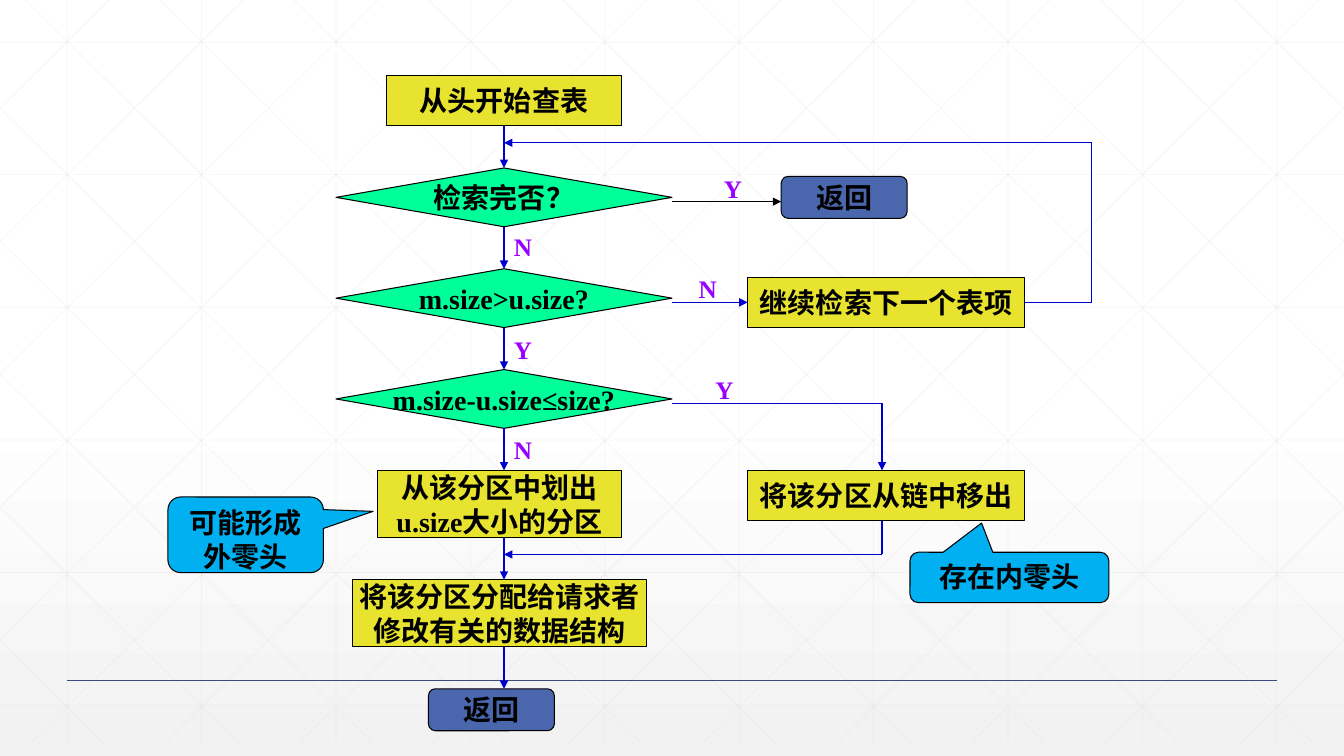
import pptx
import pptx.util
import pptx.dml.color
import pptx.enum.shapes
import pptx.enum.text
import pptx.oxml
import pptx.oxml.ns
from dataclasses import dataclass

Pt = pptx.util.Pt
RGB = pptx.dml.color.RGBColor.from_string
SHAPE = pptx.enum.shapes.MSO_SHAPE
ALIGN = pptx.enum.text.PP_ALIGN
ANCHOR = pptx.enum.text.MSO_ANCHOR


@dataclass(frozen=True)
class Theme:
    """Colours, fonts and sizes of the slide."""
    process: str = "E7E32F"
    decision: str = "00FF99"
    end: str = "4A66AC"
    callout: str = "00B0F0"
    ink: str = "000000"
    flow: str = "0000CC"
    label: str = "9900FF"
    grid: str = "D9D9D9"
    rule: str = "384C81"
    back_top: str = "FFFFFF"
    back_bottom: str = "F2F2F2"
    font: str = "Times New Roman"
    callout_font: str = "Arial"
    text_size: int = 20
    label_size: int = 18
    line: float = 0.75
    grid_line: float = 0.5
    rule_line: float = 1


T = Theme()


def add_xml(parent, tag, **attrs):
    """Append a DrawingML element with the given attributes."""
    el = pptx.oxml.parse_xml(f"<a:{tag} {pptx.oxml.ns.nsdecls('a')}/>")
    for name, value in attrs.items():
        el.set(name, value)
    parent.append(el)


def add_line(s, start, end, color, width, arrow=False, opacity=None):
    """Draw a straight line, with an arrowhead or transparency if asked."""
    ends = [Pt(v) for v in (*start, *end)]
    c = s.shapes.add_connector(pptx.enum.shapes.MSO_CONNECTOR.STRAIGHT, *ends)
    c.line.color.rgb = RGB(color)
    c.line.width = Pt(width)
    ln = c.line._get_or_add_ln()
    if opacity:
        add_xml(ln.find(".//" + pptx.oxml.ns.qn("a:srgbClr")), "alpha", val=str(opacity * 1000))
    if arrow:
        add_xml(ln, "tailEnd", type="triangle")
    add_xml(c._element.spPr, "effectLst")


def write(tf, text, size, color, font, align):
    """Fill a text frame with bold text in one style."""
    tf.text = text
    for p in tf.paragraphs:
        p.alignment = align
        for r in p.runs:
            r.font.name = font
            r.font.size = Pt(size)
            r.font.bold = True
            r.font.color.rgb = RGB(color)


def add_node(s, kind, box, fill, text, font=T.font):
    """Draw a filled, outlined shape with centred text."""
    sp = s.shapes.add_shape(kind, *[Pt(v) for v in box])
    sp.shadow.inherit = False
    sp.fill.solid()
    sp.fill.fore_color.rgb = RGB(fill)
    sp.line.color.rgb = RGB(T.ink)
    sp.line.width = Pt(T.line)
    sp.text_frame.word_wrap = False
    sp.text_frame.vertical_anchor = ANCHOR.MIDDLE
    write(sp.text_frame, text, T.text_size, T.ink, font, ALIGN.CENTER)
    return sp


def backdrop(s, box):
    """Draw the gradient, the faint lattice and the footer rule."""
    left, top, width, height = box
    fill = s.background.fill
    fill.gradient()
    fill.gradient_angle = 270
    for stop, position, color in zip(fill.gradient_stops, (0.53, 1), (T.back_top, T.back_bottom)):
        stop.position = position
        stop.color.rgb = RGB(color)

    step, slope, bottom = 96, 0.99, height - 9
    lines = [((x, 0), (x, bottom)) for x in range(48, width, step)]
    lines += [((0, 30 + 94.75 * i), (width, 30 + 94.75 * i)) for i in range(6)]
    for i in range(-5, 10):
        x = 18 + step * i
        x1, x2 = max(0, x), min(width, x + bottom / slope)
        y1, y2 = (x1 - x) * slope, (x2 - x) * slope
        lines += [((x1, y1), (x2, y2)), ((width - x1, y1), (width - x2, y2))]
    for (x1, y1), (x2, y2) in lines:
        add_line(s, (left + x1, top + y1), (left + x2, top + y2), T.grid, T.grid_line, opacity=25)
    add_line(s, (left + 48, top + 486), (left + width - 48, top + 486), T.rule, T.rule_line)


def flowchart(s, box):
    """Place the steps, arrows and branch labels of the allocation flow."""
    left, top, right, bottom = box[0], box[1], box[2], box[3]
    axis, branch, row = 120, 390, 72
    nodes = [
        (SHAPE.RECTANGLE, (36, 0, 168, 36), T.process, "从头开始查表"),
        (SHAPE.RECTANGLE, (30, 282, 174, 48), T.process, "从该分区中划出\nu.size大小的分区"),
        (SHAPE.RECTANGLE, (12, 360, 210, 48), T.process, "将该分区分配给请求者\n修改有关的数据结构"),
        (SHAPE.ROUNDED_RECTANGLE, (66, bottom - 30, 90, 30), T.end, "返回"),
        (SHAPE.ROUNDED_RECTANGLE, (318, 72, 90, 30), T.end, "返回"),
        (SHAPE.RECTANGLE, (294, 144, 198, 36), T.process, "继续检索下一个表项"),
        (SHAPE.RECTANGLE, (294, 282, 198, 36), T.process, "将该分区从链中移出"),
    ]
    for i, question in enumerate(("检索完否？", "m.size>u.size?", "m.size-u.size≤size?")):
        nodes.append((SHAPE.DIAMOND, (0, 66 + row * i, 240, 42), T.decision, question))
    for kind, (x, y, w, h), fill, text in nodes:
        add_node(s, kind, (left + x, top + y, w, h), fill, text)

    drops = [(36, 66), (330, 360), (408, 438)] + [(108 + row * i, 138 + row * i) for i in range(3)]
    routes = [(T.flow, [(axis, y1), (axis, y2)]) for y1, y2 in drops]
    routes += [
        (T.ink, [(240, 90), (318, 90)]),
        (T.flow, [(240, 162), (294, 162)]),
        (T.flow, [(240, 234), (branch, 234), (branch, 282)]),
        (T.flow, [(branch, 318), (branch, 342), (axis, 342)]),
        (T.flow, [(492, 162), (right, 162), (right, 48), (axis, 48)]),
    ]
    for color, route in routes:
        points = [(left + x, top + y) for x, y in route]
        for start, end in zip(points, points[1:]):
            add_line(s, start, end, color, T.line, arrow=end == points[-1])

    labels = [("Y", 270, 66), ("N", 252, 138), ("Y", 264, 210),
              ("N", axis, 108), ("Y", axis, 181), ("N", axis, 253)]
    for text, x, y in labels:
        tb = s.shapes.add_textbox(Pt(left + x), Pt(top + y), Pt(30), Pt(29))
        tb.text_frame.word_wrap = True
        write(tb.text_frame, text, T.label_size, T.label, T.font, ALIGN.LEFT)


def callout(s, box, tip, text):
    """Place a speech bubble whose tip is given as shares of its size."""
    sp = add_node(s, SHAPE.ROUNDED_RECTANGULAR_CALLOUT, box, T.callout, text, T.callout_font)
    sp.adjustments[0], sp.adjustments[1] = tip
    sp.text_frame.word_wrap = True
    sp.text_frame.vertical_anchor = ANCHOR.TOP


def main():
    """Build and save the slide."""
    prs = pptx.Presentation()
    prs.slide_width, prs.slide_height = Pt(960), Pt(540)
    s = prs.slides.add_slide(prs.slide_layouts[6])
    backdrop(s, (0, 0, 960, 540))
    flowchart(s, (240, 54, 540, 468))
    callout(s, (120, 355, 111, 54), (0.82, -0.31), "可能形成\n外零头")
    callout(s, (650, 394.5, 142, 36), (-0.14, -1.08), "存在内零头")
    prs.save("out.pptx")


if __name__ == "__main__":
    main()
